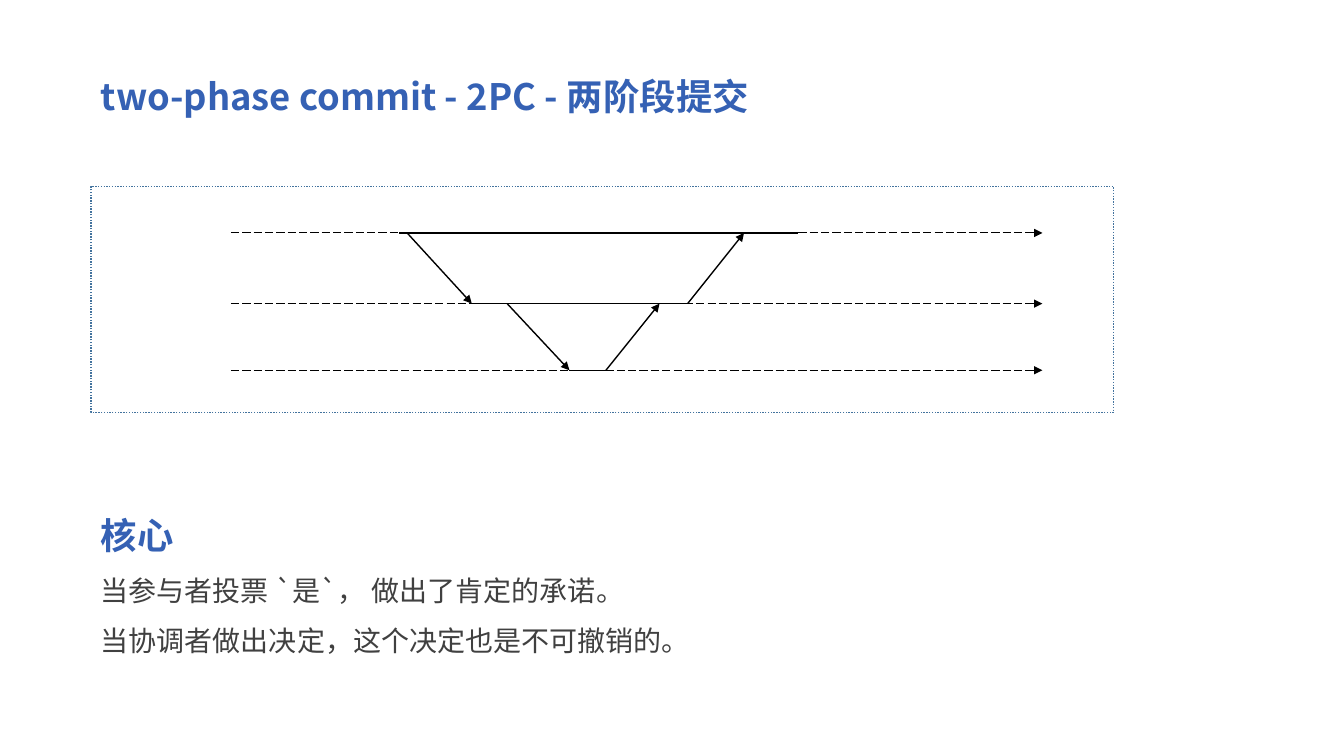
from pptx import Presentation
from pptx.dml.color import RGBColor
from pptx.enum.dml import MSO_LINE_DASH_STYLE as Dash
from pptx.enum.shapes import MSO_CONNECTOR_TYPE as Connector, MSO_SHAPE as Shape
from pptx.enum.text import MSO_AUTO_SIZE as AutoSize
from pptx.oxml.ns import qn
from pptx.util import Cm, Pt
from lxml.etree import SubElement

FONT = "Noto Sans CJK SC"
HEADING = {"size": Pt(26), "bold": True, "name": FONT}
BODY = {"size": Pt(20), "bold": False, "name": FONT}
BLUE, GREY, BLACK, FRAME = "3561B4", "404040", "000000", "43739E"


def set_colour(target, colour):
    target.rgb = RGBColor.from_string(colour)


def add_text(slide, box, lines):
    """Each line is (text, font format, colour, line spacing)."""
    shape = slide.shapes.add_textbox(*map(Cm, box))
    frame = shape.text_frame
    frame.word_wrap = True
    frame.auto_size = AutoSize.SHAPE_TO_FIT_TEXT
    for index, (text, font_format, colour, spacing) in enumerate(lines):
        paragraph = frame.paragraphs[0] if index == 0 else frame.add_paragraph()
        paragraph.line_spacing = spacing
        run = paragraph.add_run()
        run.text = text
        for name, value in font_format.items():
            setattr(run.font, name, value)
        set_colour(run.font.color, colour)
        properties = run._r.get_or_add_rPr()
        properties.set("lang", "zh-CN")
        SubElement(properties, qn("a:ea")).set("typeface", FONT)


def add_line(slide, start, end, width=1, dash=None, arrow=False):
    line = slide.shapes.add_connector(Connector.STRAIGHT, *map(Cm, start + end))
    set_colour(line.line.color, BLACK)
    line.line.width = Pt(width)
    if dash:
        line.line.dash_style = dash
    if arrow:
        SubElement(line.line._get_or_add_ln(), qn("a:tailEnd")).set("type", "triangle")
    SubElement(line._element.spPr, qn("a:effectLst"))


def add_diagram(slide, box):
    left, top, width, height = box
    frame = slide.shapes.add_shape(Shape.RECTANGLE, *map(Cm, box))
    frame.shadow.inherit = False
    frame.fill.background()
    set_colour(frame.line.color, FRAME)
    frame.line.width = Pt(1)
    frame.line.dash_style = Dash.ROUND_DOT

    # Time lines of the three parties
    rows = [top + offset for offset in (1.17, 2.95, 4.63)]
    for row in rows:
        add_line(slide, (left + 3.53, row), (left + 23.98, row), 0.75, Dash.LONG_DASH, True)

    # Active span of each party
    spans = [(7.77, 17.83), (9.6, 15.04), (12.06, 12.98)]
    for row, (start, end) in zip(rows, spans):
        add_line(slide, (left + start, row), (left + end, row))

    # Request down to the next party and its reply back up
    calls = [(7.97, 16.46), (10.49, 14.33)]
    for index, (request, reply) in enumerate(calls):
        upper, lower = rows[index:index + 2]
        start, end = spans[index + 1]
        add_line(slide, (left + request, upper), (left + start, lower), arrow=True)
        add_line(slide, (left + end, lower), (left + reply, upper), arrow=True)


def build_slide(presentation):
    slide = presentation.slides.add_slide(presentation.slide_layouts[6])
    add_text(slide, (2.29, 1.75, 28.68, 1.37),
             [("two-phase commit - 2PC - 两阶段提交", HEADING, BLUE, 1.0)])
    add_diagram(slide, (2.29, 4.7, 25.78, 5.69))
    add_text(slide, (2.29, 12.8, 28.68, 3.94), [
        ("核心", HEADING, BLUE, 1.0),
        ("当参与者投票 `是`， 做出了肯定的承诺。", BODY, GREY, 1.5),
        ("当协调者做出决定，这个决定也是不可撤销的。", BODY, GREY, 1.5),
    ])


def main():
    presentation = Presentation()
    presentation.slide_width = Cm(33.87)
    presentation.slide_height = Cm(19.05)
    build_slide(presentation)
    presentation.save("out.pptx")


if __name__ == "__main__":
    main()
